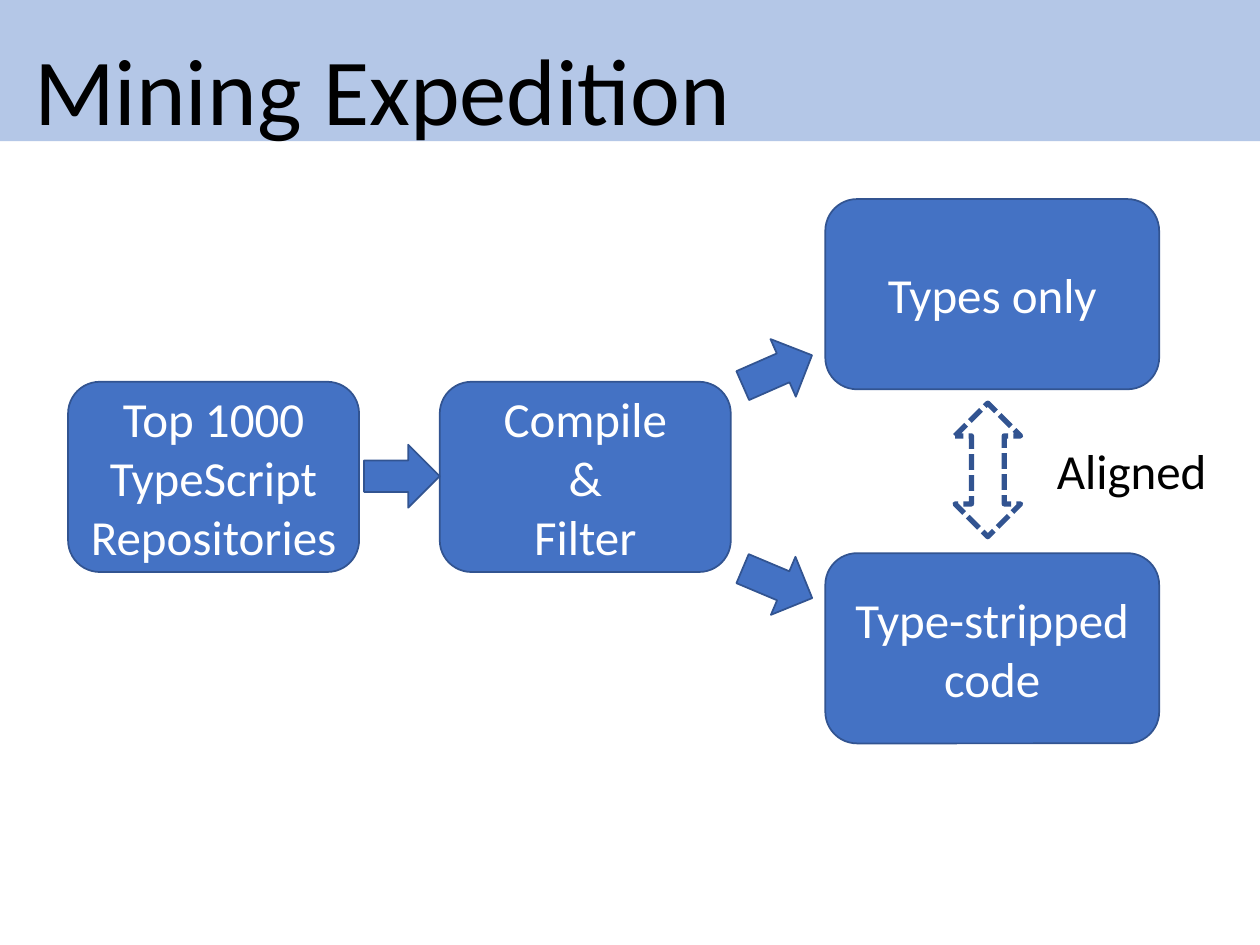
from pptx import Presentation
from pptx import util as u
from pptx.dml.color import RGBColor
from pptx.enum import dml, shapes, text

BLUE = RGBColor(0x44, 0x72, 0xC4)
EDGE = RGBColor(0x32, 0x54, 0x91)
BAND = RGBColor(0xB4, 0xC7, 0xE7)
WHITE = RGBColor(0xFF, 0xFF, 0xFF)
BLACK = RGBColor(0, 0, 0)
FONT = "Calibri"

TITLE = "Mining Expedition"
LINK_LABEL = "Aligned"
STEP_WIDTH, RESULT_WIDTH, BOX_HEIGHT = 2.31, 2.65, 1.51
COLUMNS = (0.54, 3.49, 6.55)
MIDDLE, UPPER, LOWER = 3.03, 1.58, 4.39
STAGES = [
    (["Top 1000", "TypeScript Repositories"], COLUMNS[0], MIDDLE, STEP_WIDTH),
    (["Compile", "&", "Filter"], COLUMNS[1], MIDDLE, STEP_WIDTH),
    (["Types only"], COLUMNS[2], UPPER, RESULT_WIDTH),
    (["Type-stripped code"], COLUMNS[2], LOWER, RESULT_WIDTH),
]
ARROW_SIZE = (0.6, 0.5)
ARROWS = [(2.89, 3.53, 0), (5.87, 2.69, -23.7), (5.87, 4.38, 22.9)]


def inches(*lengths):
    return [u.Inches(length) for length in lengths]


def write(frame, lines, size, color, align):
    frame.word_wrap = True
    for index, line in enumerate(lines):
        para = frame.paragraphs[0] if index == 0 else frame.add_paragraph()
        para.text = line
        para.alignment = align
        para.font.name = FONT
        para.font.size = u.Pt(size)
        para.font.color.rgb = color


def add_outlined(page, kind, place, line_width=1):
    shape = page.shapes.add_shape(kind, *inches(*place))
    shape.shadow.inherit = False
    shape.fill.solid()
    shape.fill.fore_color.rgb = BLUE
    shape.line.color.rgb = EDGE
    shape.line.width = u.Pt(line_width)
    return shape


def add_title(page):
    title = page.shapes.title
    title.left, title.top, title.width, title.height = inches(0, -0.03, 10, 1.15)
    title.fill.solid()
    title.fill.fore_color.rgb = BAND
    frame = title.text_frame
    write(frame, [TITLE], 54, BLACK, text.PP_ALIGN.LEFT)
    frame.auto_size = text.MSO_AUTO_SIZE.NONE
    frame.vertical_anchor = text.MSO_ANCHOR.TOP
    frame.margin_left = u.Inches(0.27)
    frame.paragraphs[0].line_spacing = 1.25


def add_link(page):
    link = add_outlined(page, shapes.MSO_SHAPE.UP_DOWN_ARROW, (7.58, 3.2, 0.52, 1.06), 3)
    link.fill.background()
    link.line.dash_style = dml.MSO_LINE.SQUARE_DOT
    link.adjustments[0] = 0.265
    link.adjustments[1] = 0.5
    label = page.shapes.add_textbox(*inches(8.29, 3.45, 1.5, 0.57))
    write(label.text_frame, [LINK_LABEL], 28, BLACK, text.PP_ALIGN.LEFT)


def main():
    deck = Presentation()
    deck.slide_width, deck.slide_height = inches(10, 7.5)
    page = deck.slides.add_slide(deck.slide_layouts[5])
    add_title(page)
    for lines, left, top, width in STAGES:
        box = add_outlined(page, shapes.MSO_SHAPE.ROUNDED_RECTANGLE, (left, top, width, BOX_HEIGHT))
        box.text_frame.vertical_anchor = text.MSO_ANCHOR.MIDDLE
        write(box.text_frame, lines, 28, WHITE, text.PP_ALIGN.CENTER)
    for left, top, angle in ARROWS:
        arrow = add_outlined(page, shapes.MSO_SHAPE.RIGHT_ARROW, (left, top, *ARROW_SIZE))
        arrow.rotation = angle
    add_link(page)
    deck.save("out.pptx")


if __name__ == "__main__":
    main()
